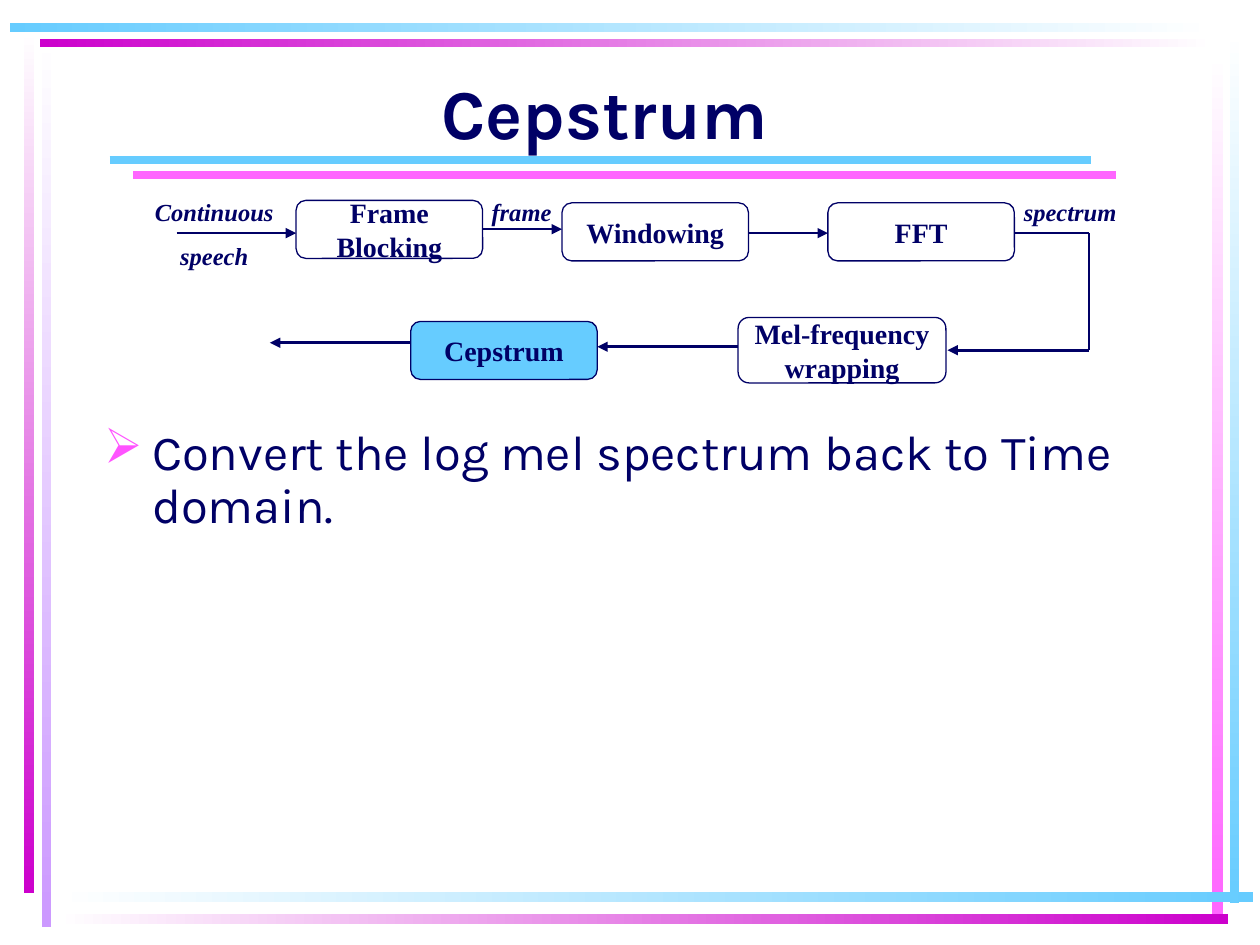
from lxml import etree
from pptx import Presentation
from pptx import util as u
from pptx.dml.color import RGBColor
from pptx.enum import shapes, text
from pptx.oxml import ns

NAVY = RGBColor(0x00, 0x00, 0x66)
SKY = RGBColor(0x66, 0xCC, 0xFF)
PINK = RGBColor(0xFF, 0x66, 0xFF)
MAGENTA = RGBColor(0xCC, 0x00, 0xCC)
LILAC = RGBColor(0xCC, 0x99, 0xFF)
WHITE = RGBColor(0xFF, 0xFF, 0xFF)
BULLET_PINK = RGBColor(0xFF, 0x53, 0xFF)
SERIF, SANS = "Times New Roman", "Karla"


def write_text(shape, lines, size, font=SERIF, bold=True, italic=False, wrap=True,
               align=text.PP_ALIGN.CENTER, anchor=text.MSO_ANCHOR.MIDDLE, before=0):
    """Fill a shape with one formatted paragraph per line."""
    frame = shape.text_frame
    frame.text = "\n".join(lines)
    frame.word_wrap = wrap
    frame.auto_size = text.MSO_AUTO_SIZE.NONE
    frame.vertical_anchor = anchor
    for paragraph in frame.paragraphs:
        paragraph.alignment = align
        paragraph.space_before = u.Pt(before)
        paragraph.font.name = font
        paragraph.font.size = u.Pt(size)
        paragraph.font.bold = bold
        paragraph.font.italic = italic
        paragraph.font.color.rgb = NAVY


def add_line(x1, y1, x2, y2, color=NAVY, width=1.5, arrow=False):
    """Draw a straight line, with an optional arrowhead at its end."""
    line = slide.shapes.add_connector(
        shapes.MSO_CONNECTOR.STRAIGHT, u.Cm(x1), u.Cm(y1), u.Cm(x2), u.Cm(y2))
    line.line.color.rgb = color
    line.line.width = u.Pt(width)
    if arrow:
        etree.SubElement(line.line._get_or_add_ln(), ns.qn("a:tailEnd"), type="triangle")
    etree.SubElement(line._element.spPr, ns.qn("a:effectLst"))


presentation = Presentation()
presentation.slide_width, presentation.slide_height = u.Cm(25.4), u.Cm(19.05)
slide = presentation.slides.add_slide(presentation.slide_layouts[5])

# Border bars: left, top, width, height, first colour, last colour
border_bars = [
    (0.84, 0.71, 0.2, 17.98, WHITE, LILAC),
    (0.48, 0.64, 0.2, 17.37, WHITE, MAGENTA),
    (24.79, 0.61, 0.18, 17.6, WHITE, SKY),
    (24.43, 1.07, 0.23, 17.35, WHITE, PINK),
    (1.14, 17.98, 24.13, 0.2, WHITE, SKY),
    (1.14, 18.42, 23.62, 0.2, WHITE, MAGENTA),
    (0.81, 0.79, 23.67, 0.15, MAGENTA, WHITE),
    (0.2, 0.47, 24.28, 0.18, SKY, WHITE),
]
for left, top, width, height, first, last in border_bars:
    bar = slide.shapes.add_shape(shapes.MSO_SHAPE.RECTANGLE, u.Cm(left), u.Cm(top),
                                 u.Cm(width), u.Cm(height))
    bar.shadow.inherit = False
    bar.line.fill.background()
    bar.fill.gradient()
    bar.fill.gradient_angle = 270 if height > width else 0
    for stop, color in zip(bar.fill.gradient_stops, (first, last)):
        stop.color.rgb = color

# Title and its double rule
title = slide.shapes.title
title.left, title.top, title.width, title.height = u.Cm(1.07), u.Cm(1.07), u.Cm(22.23), u.Cm(2.34)
write_text(title, ["Cepstrum"], 40, font=SANS)
add_line(2.21, 3.23, 22, 3.23, SKY, 4.5)
add_line(2.69, 3.53, 22.5, 3.53, PINK, 4.5)

# Processing steps: left, top, width, height, lines, fill
steps = [
    (5.97, 4.04, 3.76, 1.17, ["Frame", "Blocking"], None),
    (11.33, 4.09, 3.76, 1.17, ["Windowing"], None),
    (16.69, 4.09, 3.76, 1.17, ["FFT"], None),
    (8.28, 6.48, 3.76, 1.17, ["Cepstrum"], SKY),
    (14.88, 6.4, 4.19, 1.32, ["Mel-frequency", "wrapping"], None),
]
for left, top, width, height, lines, fill in steps:
    step = slide.shapes.add_shape(shapes.MSO_SHAPE.ROUNDED_RECTANGLE, u.Cm(left), u.Cm(top),
                                  u.Cm(width), u.Cm(height))
    step.shadow.inherit = False
    step.line.color.rgb = NAVY
    step.line.width = u.Pt(0.75)
    if fill is None:
        step.fill.background()
    else:
        step.fill.solid()
        step.fill.fore_color.rgb = fill
    write_text(step, lines, 16, wrap=False)

# Signal flow: start, end, arrowhead
flow = [
    (3.56, 4.7, 5.97, 4.7, True),
    (9.73, 4.62, 11.33, 4.62, True),
    (15.09, 4.7, 16.69, 4.7, True),
    (20.45, 4.7, 21.95, 4.7, False),
    (21.95, 4.7, 21.95, 7.06, False),
    (21.95, 7.06, 19.1, 7.06, True),
    (14.88, 6.99, 12.04, 6.99, True),
    (8.28, 6.91, 5.44, 6.91, True),
]
for x1, y1, x2, y2, arrow in flow:
    add_line(x1, y1, x2, y2, arrow=arrow)

# Signal names: left, width, height, lines, alignment
signals = [
    (2.49, 3.66, 1.75, ["Continuous", "speech"], text.PP_ALIGN.CENTER),
    (8.94, 3.15, 0.86, ["frame"], text.PP_ALIGN.CENTER),
    (20.07, 2.69, 0.86, ["spectrum"], text.PP_ALIGN.RIGHT),
]
for left, width, height, lines, align in signals:
    label = slide.shapes.add_textbox(u.Cm(left), u.Cm(3.84), u.Cm(width), u.Cm(height))
    write_text(label, lines, 14, italic=True, align=align,
               anchor=text.MSO_ANCHOR.TOP, before=8.8)

# Bulleted statement
body = slide.shapes.add_textbox(u.Cm(1.85), u.Cm(8.51), u.Cm(22.91), u.Cm(8.99))
write_text(body, ["Convert the log mel spectrum back to Time domain."], 28, font=SANS,
           bold=False, align=text.PP_ALIGN.LEFT, anchor=text.MSO_ANCHOR.TOP, before=7)
statement = body.text_frame.paragraphs[0]
statement.line_spacing = 0.9
properties = statement._p.get_or_add_pPr()
properties.set("marL", str(u.Cm(0.97)))
properties.set("indent", str(u.Cm(-0.97)))
bullet_color = etree.Element(ns.qn("a:buClr"))
etree.SubElement(bullet_color, ns.qn("a:srgbClr"), val=str(BULLET_PINK))
bullet = etree.Element(ns.qn("a:buChar"), char="\u27a2")
default_format = properties.find(ns.qn("a:defRPr"))
default_format.addprevious(bullet_color)
default_format.addprevious(bullet)

presentation.save("out.pptx")
